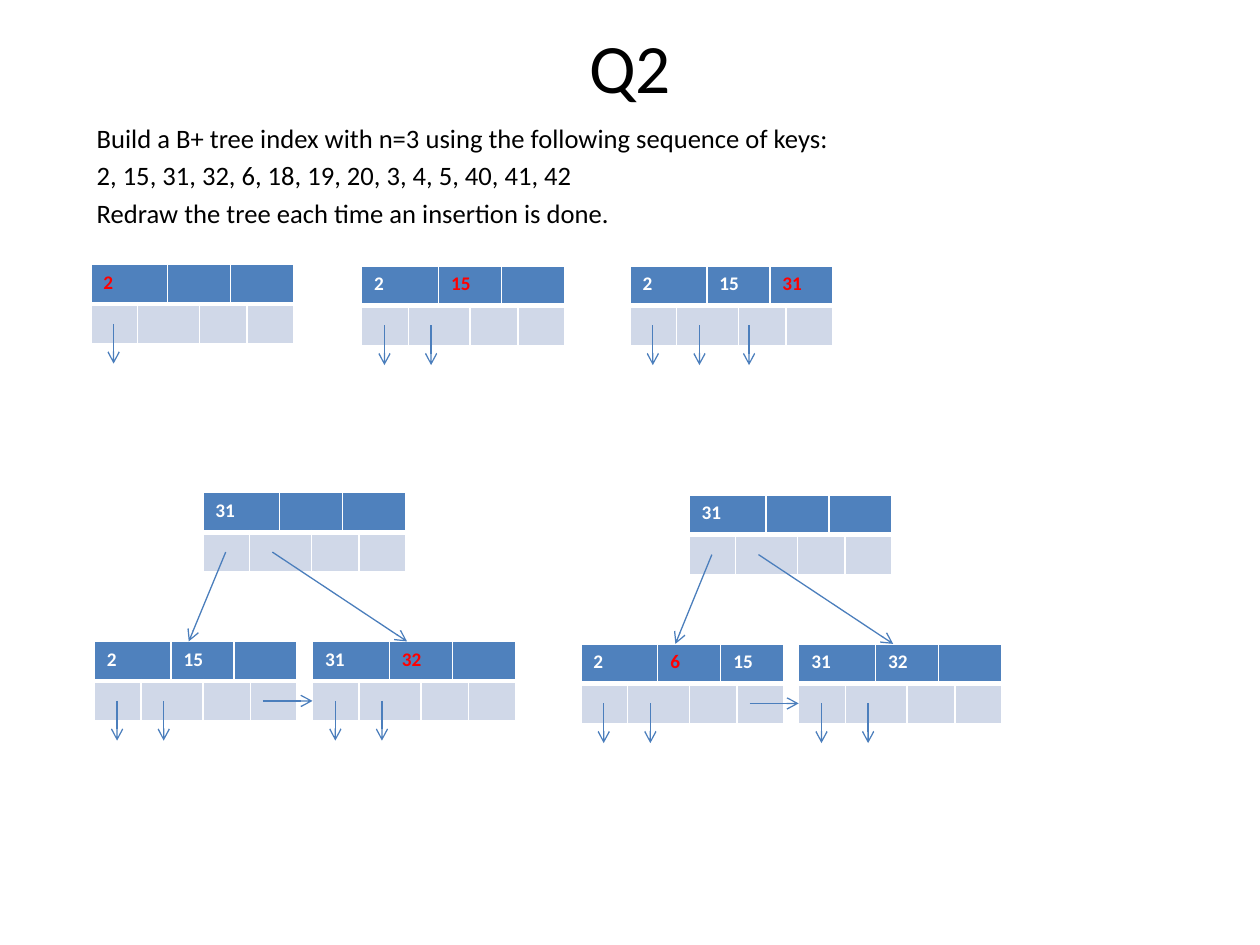
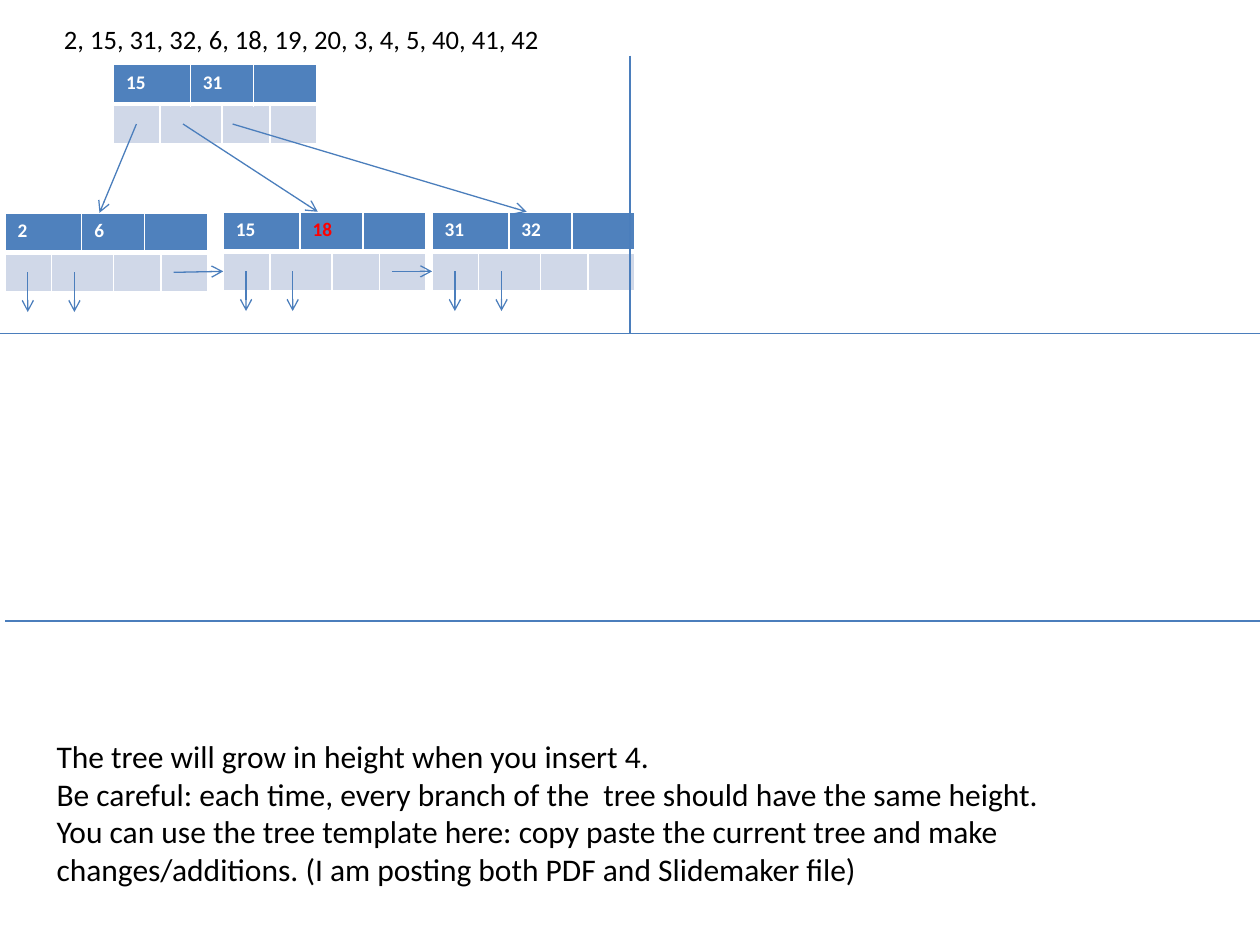
import pptx
import pptx.util
import pptx.dml.color
import pptx.enum.shapes
import pptx.enum.text
import pptx.oxml
import pptx.oxml.ns
from lxml import etree

Cm, Pt = pptx.util.Cm, pptx.util.Pt
RGB = pptx.dml.color.RGBColor.from_string
qn = pptx.oxml.ns.qn

# Shared look
FONT = "Calibri"
HUES = {"text": "000000", "key": "FFFFFF", "new": "FF0000", "head": "4F81BD",
        "slot": "D0D8E8", "edge": "FFFFFF", "line": "4B7EBC"}

# Node geometry in cm: six grid columns, merged differently in each row
COLS = [0.94, 0.33, 0.64, 0.63, 0.33, 0.94]
ROW = 0.8
SPANS = [(0, 0, 1), (0, 2, 3), (0, 4, 5), (1, 1, 2), (1, 3, 4)]
MID = sum(COLS) / 2
SLOTS = [0.46, 1.4, 2.4]
START, DROP = 1.2, 2.0
LINK = 3.4

deck = pptx.Presentation()
deck.slide_width, deck.slide_height = Cm(25.4), Cm(19.05)
blank = deck.slide_layouts[6]
first, second = deck.slides.add_slide(blank), deck.slides.add_slide(blank)


def draw_line(slide, x1, y1, x2, y2, arrow=True):
    line = slide.shapes.add_connector(pptx.enum.shapes.MSO_CONNECTOR.STRAIGHT,
                                      Cm(x1), Cm(y1), Cm(x2), Cm(y2))
    line.line.color.rgb = RGB(HUES["line"])
    line.line.width = Pt(0.75)
    if arrow:
        etree.SubElement(line.line._get_or_add_ln(), qn("a:tailEnd"), type="arrow")
    etree.SubElement(line._element.spPr, qn("a:effectLst"))


def add_text(slide, x, y, w, h, text, size, gap=0):
    frame = slide.shapes.add_textbox(Cm(x), Cm(y), Cm(w), Cm(h)).text_frame
    frame.word_wrap = True
    frame.text = text
    for para in frame.paragraphs:
        para.space_before = Pt(gap)
        for run in para.runs:
            run.font.name, run.font.size = FONT, Pt(size)
            run.font.color.rgb = RGB(HUES["text"])
    return frame


# Title and task
title = add_text(first, 1.27, 0.33, 22.86, 2, "Q2", 39.6)
title.vertical_anchor = pptx.enum.text.MSO_ANCHOR.MIDDLE
title.paragraphs[0].alignment = pptx.enum.text.PP_ALIGN.CENTER
keys = "2, 15, 31, 32, 6, 18, 19, 20, 3, 4, 5, 40, 41, 42"
task = ("Build a B+ tree index with n=3 using the following sequence of keys:\n"
        + keys + "\nRedraw the tree each time an insertion is done.")
add_text(first, 1.7, 2.34, 22.86, 2.08, task, 15.2, 3)
add_text(second, 1.04, 0.33, 22.86, 0.79, keys, 15.2, 3)

# Each tree: slide, newest key, root or None, leaves
# Each node: left, top, keys, count of pointers
trees = [
    (first, "2", None, [(1.83, 5.33, ["2"], 1)]),
    (first, "15", None, [(7.29, 5.36, ["2", "15"], 2)]),
    (first, "31", None, [(12.7, 5.36, ["2", "15", "31"], 3)]),
    (first, "32", (4.09, 9.93, ["31"], 2),
     [(1.9, 12.93, ["2", "15"], 2), (6.3, 12.93, ["31", "32"], 2)]),
    (first, "6", (13.89, 9.98, ["31"], 2),
     [(11.71, 12.98, ["2", "6", "15"], 2), (16.1, 12.98, ["31", "32"], 2)]),
    (second, "18", (2.29, 1.3, ["15", "31"], 3),
     [(0.1, 4.29, ["2", "6"], 2), (4.5, 4.27, ["15", "18"], 2),
      (8.71, 4.27, ["31", "32"], 2)]),
]

for slide, new, root, leaves in trees:
    # Nodes as tables
    for x, y, names, count in ([root] if root else []) + leaves:
        grid = slide.shapes.add_table(2, 6, Cm(x), Cm(y), Cm(sum(COLS)),
                                      Cm(2 * ROW)).table
        for col, width in zip(grid.columns, COLS):
            col.width = Cm(width)
        for row in grid.rows:
            row.height = Cm(ROW)
        for r, a, b in SPANS:
            grid.cell(r, a).merge(grid.cell(r, b))
        for i, name in enumerate(names):
            grid.cell(0, 2 * i).text = name
        for r in range(2):
            for c in range(6):
                cell = grid.cell(r, c)
                cell.fill.solid()
                cell.fill.fore_color.rgb = RGB(HUES["slot" if r else "head"])
                para = cell.text_frame.paragraphs[0]
                for run in para.runs:
                    run.font.name, run.font.size, run.font.bold = FONT, Pt(11), True
                    run.font.color.rgb = RGB(HUES["new" if run.text == new else "key"])
                if not para.runs:
                    para._p.get_or_add_endParaRPr().set("sz", "1100")
                # White borders, thick between the rows
                thick = "lnT" if r else "lnB"
                for side in ("lnB", "lnT", "lnR", "lnL"):
                    edge = etree.Element(qn("a:" + side),
                                         w=str(Pt(3 if side == thick else 1)))
                    fill = etree.SubElement(edge, qn("a:solidFill"))
                    etree.SubElement(fill, qn("a:srgbClr"), val=HUES["edge"])
                    cell._tc.get_or_add_tcPr().insert(0, edge)

    # Record pointers
    for x, y, names, count in leaves:
        for slot in SLOTS[:count]:
            draw_line(slide, x + slot, y + START, x + slot, y + DROP)
    # Links between neighbour leaves
    for left, right in zip(leaves, leaves[1:]):
        draw_line(slide, left[0] + LINK, left[1] + START, right[0], right[1] + START)
    # Root to leaves
    if root:
        for slot, leaf in zip(SLOTS, leaves):
            draw_line(slide, root[0] + slot, root[1] + START, leaf[0] + MID, leaf[1])

# Dividers for the remaining steps
for ends in [(12.7, 1.12, 12.7, 6.73), (25.4, 6.73, 0, 6.73), (25.4, 12.52, 0.1, 12.52)]:
    draw_line(second, *ends, arrow=False)

# Closing hints
hints = ("The tree will grow in height when you insert 4.\n"
         "Be careful: each time, every branch of the  tree should have the same height.\n"
         "You can use the tree template here: copy paste the current tree and make "
         "changes/additions. (I am posting both PDF and Slidemaker file)")
add_text(second, 0.89, 14.73, 23.39, 3.33, hints, 18)

deck.save("out.pptx")
